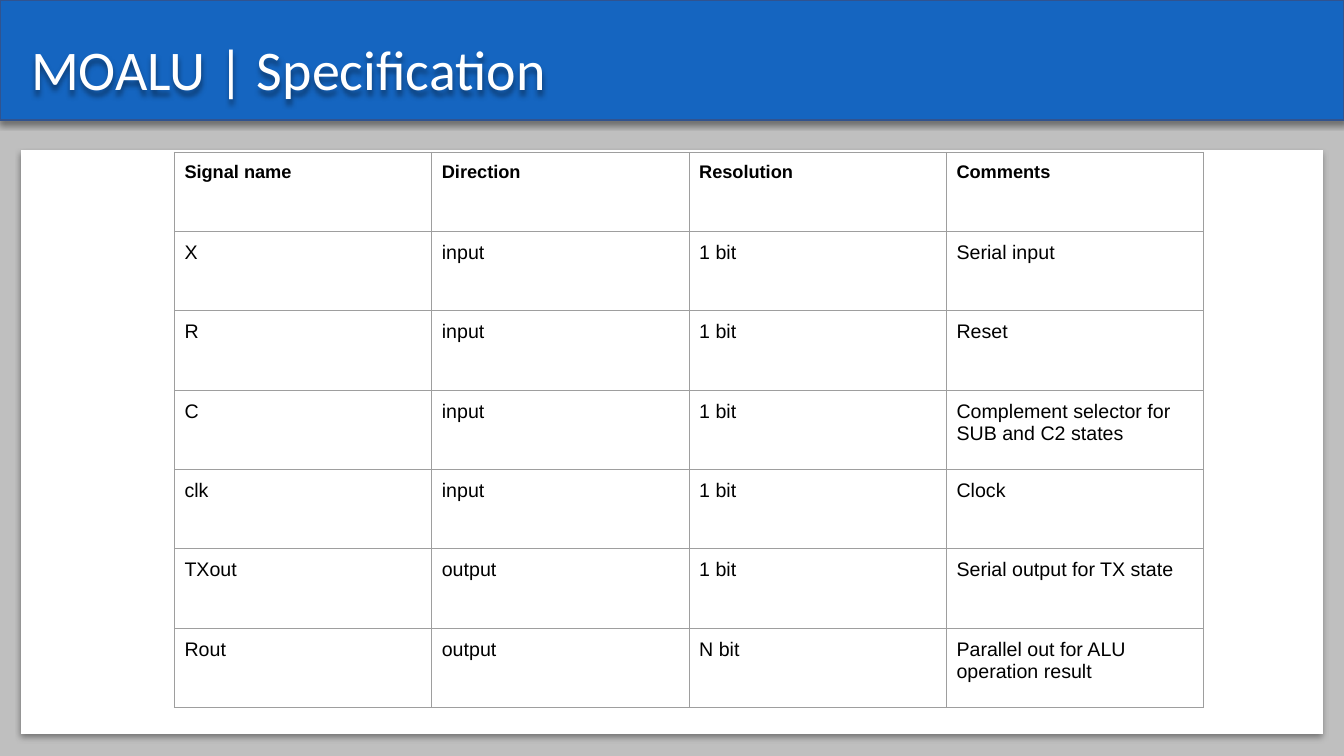
from lxml import etree
from pptx import Presentation
from pptx.dml.color import RGBColor
from pptx.enum.shapes import MSO_SHAPE
from pptx.enum.text import MSO_ANCHOR
from pptx.oxml.ns import qn
from pptx.util import Inches, Pt

RECTANGLE = MSO_SHAPE.RECTANGLE
BOTTOM = MSO_ANCHOR.BOTTOM
COLOURS = {
    "page": "BFBFBF",
    "banner": "1565C0",
    "banner_line": "31538F",
    "white": "FFFFFF",
    "black": "000000",
    "grid": "9E9E9E",
}
SIGNALS = [
    ("Signal name", "Direction", "Resolution", "Comments"),
    ("X", "input", "1 bit", "Serial input"),
    ("R", "input", "1 bit", "Reset"),
    ("C", "input", "1 bit", "Complement selector for SUB and C2 states"),
    ("clk", "input", "1 bit", "Clock"),
    ("TXout", "output", "1 bit", "Serial output for TX state"),
    ("Rout", "output", "N bit", "Parallel out for ALU operation result"),
]


def colour(name):
    """Return the named colour."""
    return RGBColor.from_string(COLOURS[name])


def add_colour(parent, name):
    """Append a solid colour element and return it."""
    return etree.SubElement(parent, qn("a:srgbClr"), val=COLOURS[name])


def add_shadow(shape):
    """Give a shape a soft shadow straight below it."""
    shape.shadow.inherit = False
    effects = shape._element.spPr.find(qn("a:effectLst"))
    shadow = etree.SubElement(
        effects, qn("a:outerShdw"), blurRad=str(Pt(4)), dist=str(Pt(3)),
        dir="5400000", algn="t", rotWithShape="0")
    etree.SubElement(add_colour(shadow, "black"), qn("a:alpha"), val="40000")


def style_text(paragraph, font, size, name, bold=False):
    """Set the font of a whole paragraph."""
    paragraph.font.name = font
    paragraph.font.size = Pt(size)
    paragraph.font.color.rgb = colour(name)
    paragraph.font.bold = bold


def add_panel(page, left, top, width, height, fill, line=None):
    """Add a shadowed rectangle, outlined if a line colour is given."""
    panel = page.shapes.add_shape(
        RECTANGLE, Inches(left), Inches(top), Inches(width), Inches(height))
    panel.fill.solid()
    panel.fill.fore_color.rgb = colour(fill)
    if line:
        panel.line.color.rgb = colour(line)
        panel.line.width = Pt(1)
    else:
        panel.line.fill.background()
    add_shadow(panel)


def add_title(page, text):
    """Add the slide title on the banner."""
    box = page.shapes.add_textbox(
        Inches(0.21), Inches(0.19), Inches(12.91), Inches(0.88))
    box.text_frame.word_wrap = True
    box.text_frame.vertical_anchor = BOTTOM
    paragraph = box.text_frame.paragraphs[0]
    paragraph.text = text
    paragraph.line_spacing = 0.9
    style_text(paragraph, "Calibri", 40, "white")
    add_shadow(box)


def add_borders(cell):
    """Draw a thin line on each side of a cell."""
    properties = cell._tc.get_or_add_tcPr()
    for side in ("L", "R", "T", "B"):
        line = etree.SubElement(properties, qn(f"a:ln{side}"), w=str(Pt(0.75)))
        add_colour(etree.SubElement(line, qn("a:solidFill")), "grid")


def fill_cell(cell, text, header):
    """Write and style one table cell."""
    cell.margin_left = cell.margin_right = Inches(0.1)
    cell.margin_top = cell.margin_bottom = Inches(0.1)
    cell.text = text
    style_text(cell.text_frame.paragraphs[0], "Arial",
               13 if header else 14, "black", header)
    add_borders(cell)
    cell.fill.background()


def add_signal_table(page, rows):
    """Add the table of signals with equal rows and columns."""
    table = page.shapes.add_table(
        len(rows), len(rows[0]), Inches(1.73), Inches(1.51),
        Inches(10.21), Inches(5.51)).table
    table.first_row = table.horz_banding = False
    for row_index, row in enumerate(rows):
        for column_index, text in enumerate(row):
            fill_cell(table.cell(row_index, column_index), text, row_index == 0)


def main():
    """Build the specification slide."""
    deck = Presentation()
    deck.slide_width, deck.slide_height = Inches(13.33), Inches(7.5)
    page = deck.slides.add_slide(deck.slide_layouts[6])
    page.background.fill.solid()
    page.background.fill.fore_color.rgb = colour("page")
    add_panel(page, 0, 0, 13.33, 1.19, "banner", "banner_line")
    add_title(page, "MOALU | Specification")
    add_panel(page, 0.21, 1.49, 12.91, 5.79, "white")
    add_signal_table(page, SIGNALS)
    deck.save("out.pptx")


if __name__ == "__main__":
    main()
